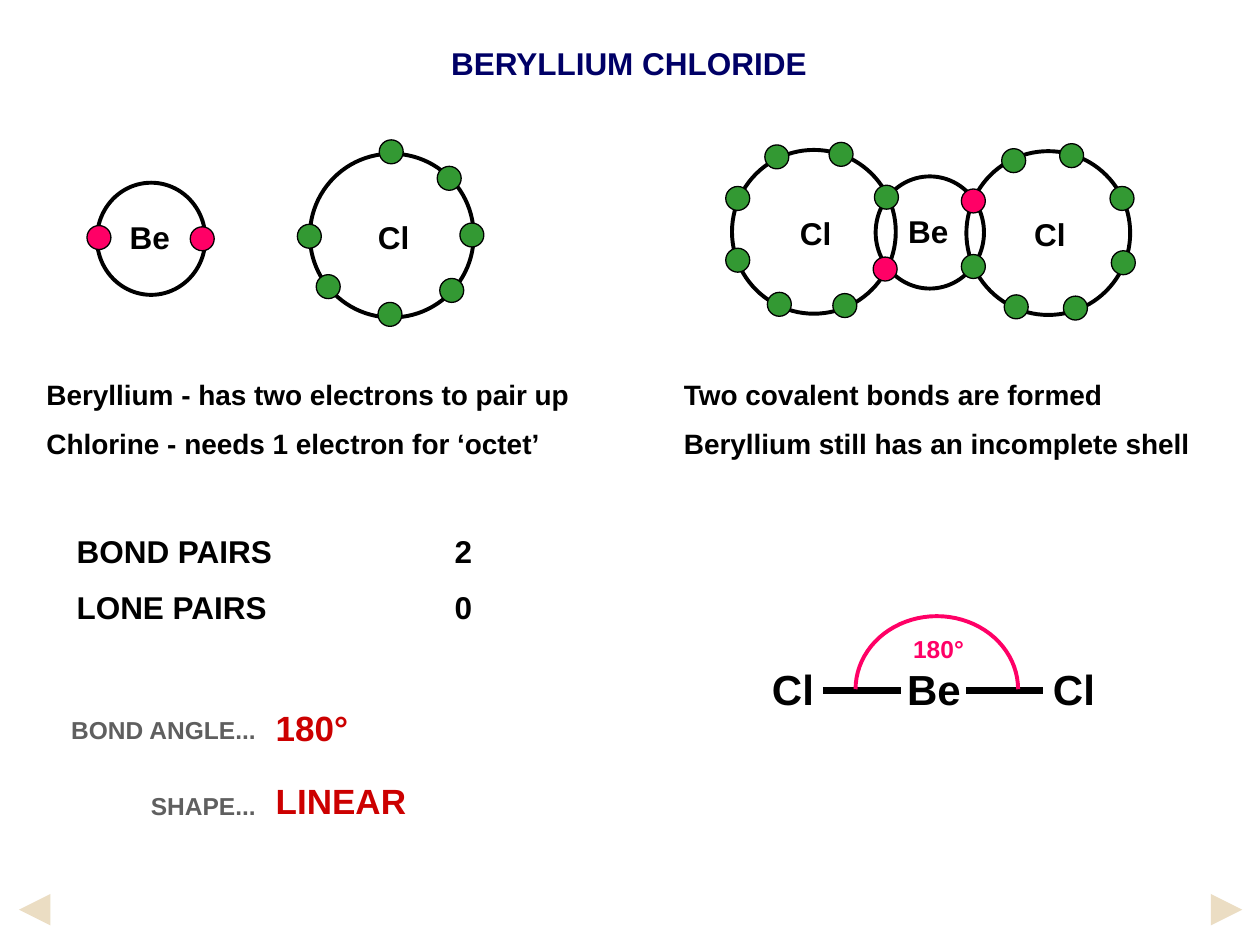
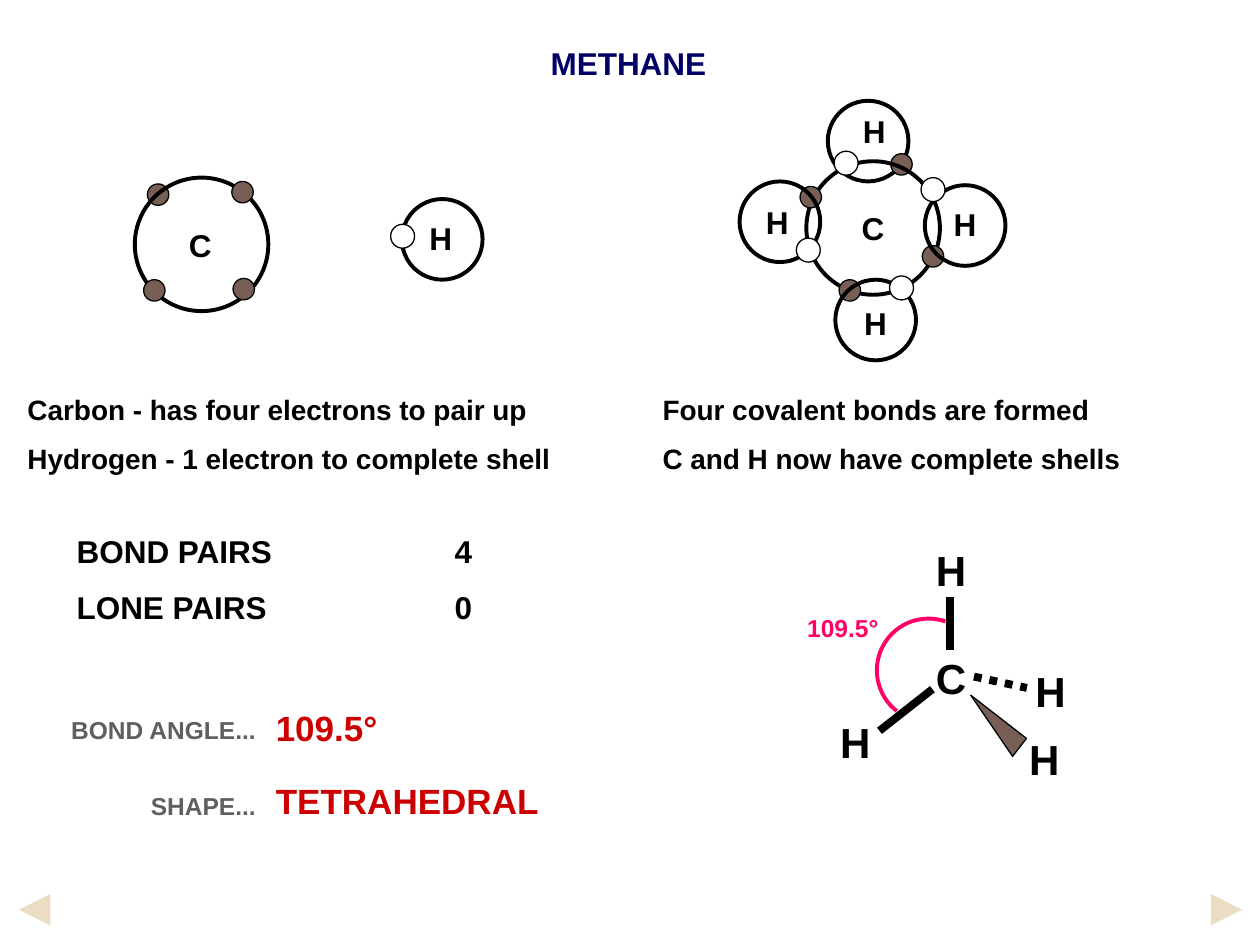
import math

from lxml import etree
from pptx import Presentation
from pptx import util as u
from pptx.dml.color import RGBColor
from pptx.enum import dml, shapes, text
from pptx.oxml import ns

COLORS = {"ink": "000000", "title": "000066", "caption": "5F5F5F", "answer": "CC0000",
          "accent": "FF0066", "chlorine": "339933", "carbon": "775F55",
          "hydrogen": "FFFFFF", "arrow": "EBDDC3"}
FONT = "Arial"
COLUMNS, ROWS = 100, 75
RING_SIZES = {"Be": (8.6, 8.9), "Cl": (13, 13), "C": (10.6, 10.6), "H": (6.4, 6.4)}
LABEL_EMS = {"Be": 1.28, "Cl": 1, "C": 0.72, "H": 0.72, "180°": 2.07, "109.5°": 2.9}


def write(box, lines, size=18, color="ink", align=None, spacing=None, gap=0.56, wrap=False):
    """Fill a box with bold paragraphs, gap being a share of the text size."""
    frame = box.text_frame
    frame.word_wrap = wrap
    frame.auto_size = text.MSO_AUTO_SIZE.SHAPE_TO_FIT_TEXT
    frame.vertical_anchor = text.MSO_ANCHOR.MIDDLE
    for index, line in enumerate(lines):
        para = frame.add_paragraph() if index else frame.paragraphs[0]
        para._p.get_or_add_pPr().set("defTabSz", str(u.Inches(1)))
        para.alignment = align or text.PP_ALIGN.LEFT
        if spacing:
            para.line_spacing = u.Pt(spacing)
        if index:
            para.space_before = u.Pt(round(size * gap))
        span = para.add_run()
        span.text = line
        span.font.name, span.font.size, span.font.bold = FONT, u.Pt(size), True
        span.font.color.rgb = RGBColor.from_string(COLORS[color])


class Lesson:
    """Holds the deck, its grid and the page being drawn."""

    def __init__(self):
        """Open a deck of 10 by 7.5 inches."""
        self.deck = Presentation()
        self.deck.slide_width, self.deck.slide_height = u.Inches(10), u.Inches(7.5)
        self.page = None

    def x(self, columns):
        """Turn columns into a length."""
        return round(self.deck.slide_width * columns / COLUMNS)

    def y(self, rows):
        """Turn rows into a length."""
        return round(self.deck.slide_height * rows / ROWS)

    def area(self, left, top, width, height):
        """Turn a grid area into lengths."""
        return self.x(left), self.y(top), self.x(width), self.y(height)

    def stroke(self, item, color, points):
        """Set the line of an item."""
        item.line.color.rgb = RGBColor.from_string(COLORS[color])
        item.line.width = u.Pt(points)

    def start(self, title, left, width):
        """Add a page with its title and the two corner arrows."""
        self.page = self.deck.slides.add_slide(self.deck.slide_layouts[5])
        box = self.page.shapes.title
        box.left, box.top, box.width, box.height = self.area(left, 3, width, 4)
        write(box, [title], color="title")
        for tail, tip in ((96.5, 98.6), (3.6, 1.5)):
            self.line((tail, 72.2), (tip, 72.2), "arrow", 6, head=True)

    def text(self, area, lines, **style):
        """Add a text box."""
        write(self.page.shapes.add_textbox(*self.area(*area)), lines, **style)

    def label(self, word, x, y, size=24, color="ink"):
        """Add a short word centred on a point, in a box that hugs it."""
        width = 2 + LABEL_EMS[word] * size / 7.2
        height = 1 + size / 6
        self.text((x - width / 2, y - height / 2, width, height), [word],
                  size=size, color=color)

    def line(self, begin, end, color="ink", points=4.5, head=False, dash=None):
        """Add a straight line, with an arrowhead if asked."""
        line = self.page.shapes.add_connector(
            shapes.MSO_CONNECTOR.STRAIGHT, self.x(begin[0]), self.y(begin[1]),
            self.x(end[0]), self.y(end[1]))
        self.stroke(line, color, points)
        if dash:
            line.line.dash_style = dash
        outline = line._element.spPr.find(ns.qn("a:ln"))
        if head:
            etree.SubElement(outline, ns.qn("a:tailEnd"), type="triangle")
        etree.SubElement(line._element.spPr, ns.qn("a:effectLst"))

    def shape(self, kind, area, fill=None, points=0.75):
        """Add a preset shape with a dark outline."""
        shape = self.page.shapes.add_shape(kind, *self.area(*area))
        shape.shadow.inherit = False
        self.stroke(shape, "ink", points)
        if fill:
            shape.fill.solid()
            shape.fill.fore_color.rgb = RGBColor.from_string(COLORS[fill])
        else:
            shape.fill.background()
        return shape

    def atom(self, symbol, x, y, dx=0.0, dy=0.0):
        """Add a shell centred on a point, its symbol shifted by dx and dy."""
        width, height = RING_SIZES[symbol]
        self.shape(shapes.MSO_SHAPE.OVAL, (x - width / 2, y - height / 2, width, height),
                   points=2.25)
        self.label(symbol, x + dx, y + dy, size=18)

    def electrons(self, fill, corners, size=1.9):
        """Add one dot at each top left corner."""
        for left, top in corners:
            self.shape(shapes.MSO_SHAPE.OVAL, (left, top, size, size), fill)

    def angle(self, x, y, radius_x, radius_y, first, last):
        """Add an open arc between two angles in degrees, clockwise from the right."""
        turns = [math.radians(first + (last - first) * step / 40) for step in range(41)]
        points = [(self.x(x + radius_x * math.cos(turn)),
                   self.y(y + radius_y * math.sin(turn))) for turn in turns]
        builder = self.page.shapes.build_freeform(*points[0], scale=1.0)
        builder.add_line_segments(points[1:], close=False)
        arc = builder.convert_to_shape()
        arc.shadow.inherit = False
        arc.fill.background()
        self.stroke(arc, "accent", 2.25)

    def notes(self, top, *columns):
        """Add the remarks below the diagrams, as (left, width, lines)."""
        for left, width, lines in columns:
            self.text((left, top, width, 7.7), lines, size=16, wrap=True)

    def summary(self, pairs, angle, form, width):
        """Add the pair counts, the bond angle and the shape."""
        self.text((5.1, 41.7, 33.4, 8.5), [f"BOND PAIRS\t\t{pairs}", "LONE PAIRS\t\t0"])
        self.text((4.6, 53.5, 16.7, 12.2), ["BOND ANGLE...", "SHAPE..."], size=14,
                  color="caption", align=text.PP_ALIGN.RIGHT, spacing=36, gap=0.5)
        self.text((20.9, 54.3, width, 11.6), [angle, form], size=20,
                  color="answer", spacing=32, gap=0.5)


def beryllium_chloride(lesson):
    """Draw the linear molecule."""
    lesson.start("BERYLLIUM CHLORIDE", 34.8, 30.3)
    for left, right in ((65.3, 71.5), (76.7, 82.8)):
        lesson.line((left, 54.8), (right, 54.8))
    for symbol, x in (("Cl", 62.95), ("Be", 74.15), ("Cl", 85.25)):
        lesson.label(symbol, x, 54.7)
    lesson.angle(74.35, 54.7, 6.45, 5.8, 180, 360)
    lesson.label("180°", 74.5, 51.45, size=14, color="accent")
    lesson.summary(2, "180°", "LINEAR", 12.4)

    for x, y in ((12, 18.95), (73.8, 18.45)):
        lesson.atom("Be", x, y, -0.1, -0.15)
    for x, y in ((31.1, 18.7), (83.2, 18.5), (64.6, 18.4)):
        lesson.atom("Cl", x, y, 0.15, 0.1)
    lesson.electrons("chlorine", (
        (30.1, 11.1), (23.6, 17.8), (36.5, 17.7), (30, 24), (34.9, 22.1), (25.1, 21.8),
        (34.7, 13.2)))
    lesson.electrons("chlorine", (
        (84.4, 23.5), (79.5, 11.8), (88.1, 14.8), (79.7, 23.4), (88.2, 19.9),
        (76.3, 20.2), (84.1, 11.4)))
    lesson.electrons("chlorine", (
        (60.7, 11.5), (57.6, 14.8), (69.4, 14.7), (66.1, 23.3), (60.9, 23.2),
        (57.6, 19.7), (65.8, 11.3)))
    lesson.electrons("accent", ((6.9, 17.9), (15.1, 18), (76.3, 15), (69.3, 20.4)))
    lesson.notes(
        29.4,
        (2.7, 48.8, ["Beryllium - has two electrons to pair up",
                     "Chlorine - needs 1 electron for ‘octet’"]),
        (53.3, 43.1, ["Two covalent bonds are formed",
                      "Beryllium still has an incomplete shell"]))


def methane(lesson):
    """Draw the tetrahedral molecule."""
    lesson.start("METHANE", 42.7, 14.4)
    lesson.summary(4, "109.5°", "TETRAHEDRAL", 22.9)

    lesson.electrons("carbon", [(11.7, 14.6)], 1.7)
    lesson.atom("C", 16, 19.4, -0.1)
    lesson.electrons("carbon", ((11.4, 22.2), (18.5, 22.1), (18.4, 14.4)), 1.7)
    lesson.atom("H", 35.1, 19, -0.1, -0.1)
    lesson.electrons("hydrogen", [(31, 17.8)])

    lesson.atom("H", 68.9, 11.2, 0.5, -0.8)
    lesson.electrons("carbon", [(70.7, 12.2)], 1.7)
    lesson.atom("C", 69.3, 18.1)
    lesson.electrons("carbon", ((63.5, 14.8), (66.6, 22.2), (73.2, 19.5)), 1.7)
    lesson.atom("H", 61.9, 17.6, -0.2)
    lesson.atom("H", 69.5, 25.4, 0, 0.2)
    lesson.atom("H", 76.6, 17.9, 0, -0.1)
    lesson.electrons("hydrogen", ((63.2, 18.9), (70.6, 21.9), (73.1, 14.1), (66.2, 12)))

    lesson.angle(73.7, 53.2, 4.1, 4.1, 128, 289)
    lesson.label("109.5°", 66.9, 49.85, size=14, color="accent")
    lesson.line((75.4, 47.4), (75.4, 51.6))
    lesson.line((77.3, 53.7), (81.5, 54.6), dash=dml.MSO_LINE.ROUND_DOT)
    lesson.line((69.8, 58), (74, 54.7))
    for symbol, x, y in (("H", 67.9, 58.9), ("H", 82.9, 60.2), ("C", 75.5, 53.8),
                         ("H", 75.5, 45.2), ("H", 83.4, 54.8)):
        lesson.label(symbol, x, y)
    wedge = lesson.shape(shapes.MSO_SHAPE.RIGHT_TRIANGLE, (75.9, 56.7, 5.6, 1.8), "carbon")
    wedge.rotation = 217.8
    lesson.notes(
        30.6,
        (1.2, 47.6, ["Carbon - has four electrons to pair up",
                     "Hydrogen - 1 electron to complete shell"]),
        (51.6, 46.5, ["Four covalent bonds are formed",
                      "C and H now have complete shells"]))


def main():
    """Build and save the deck."""
    lesson = Lesson()
    beryllium_chloride(lesson)
    methane(lesson)
    lesson.deck.save("out.pptx")


if __name__ == "__main__":
    main()
